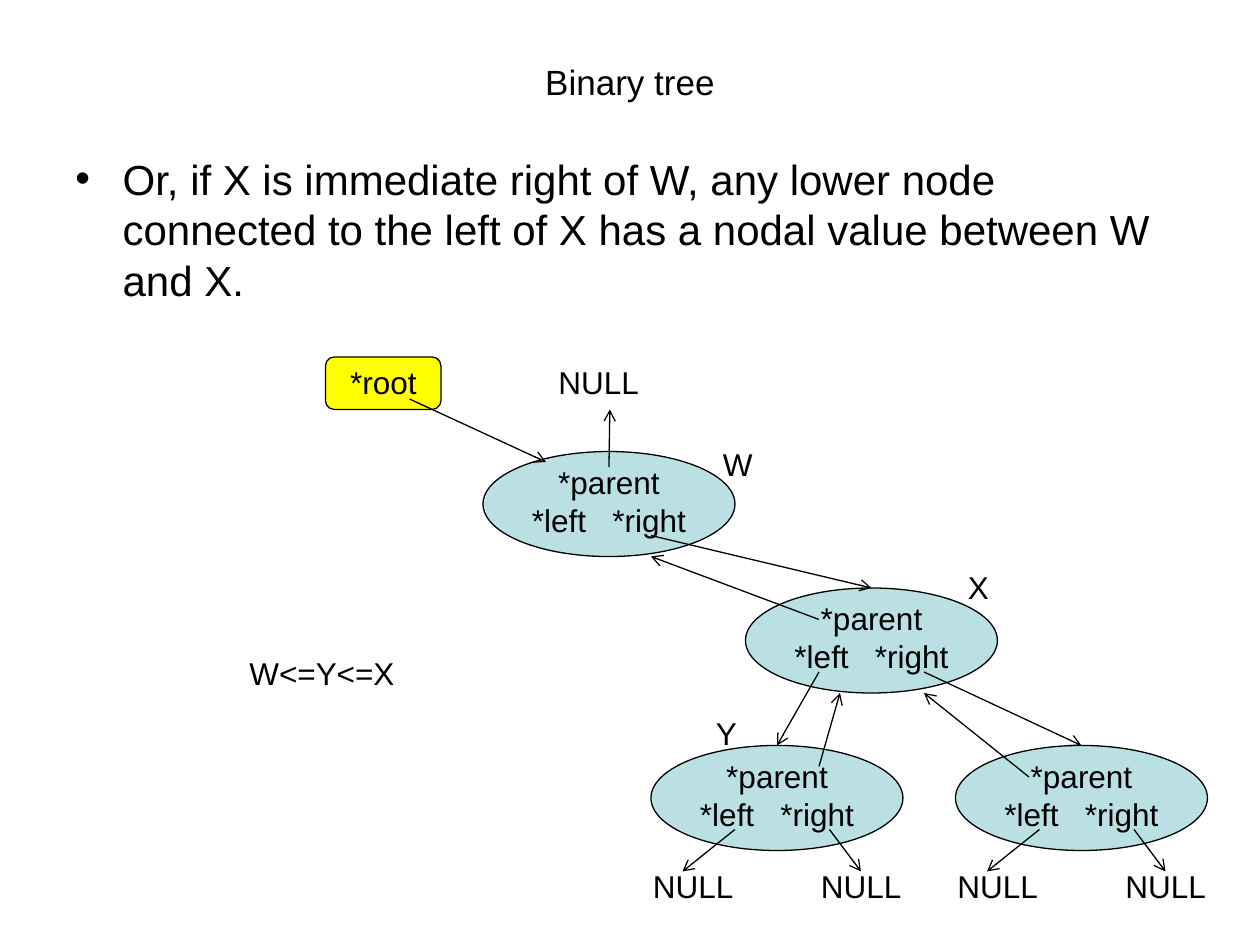
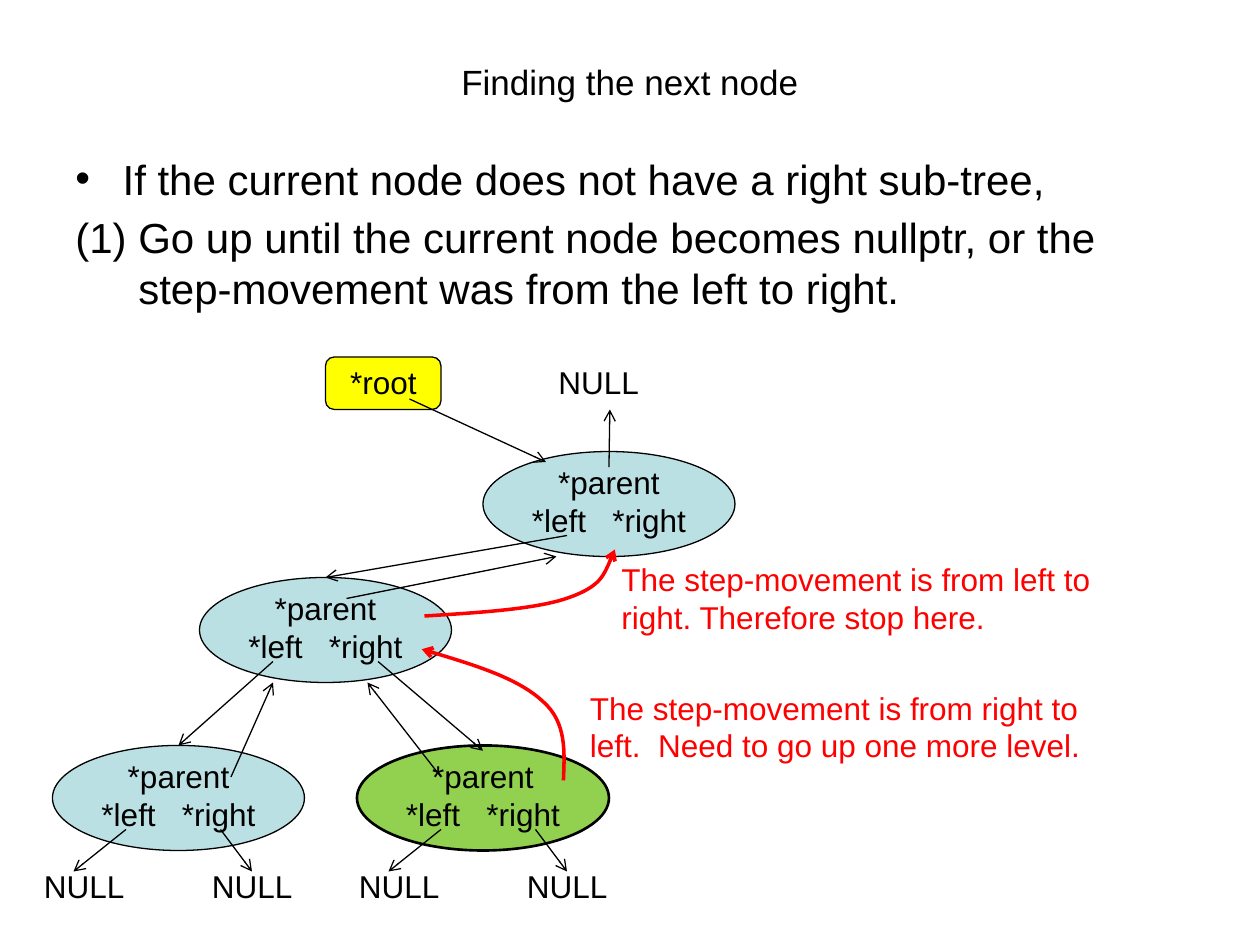
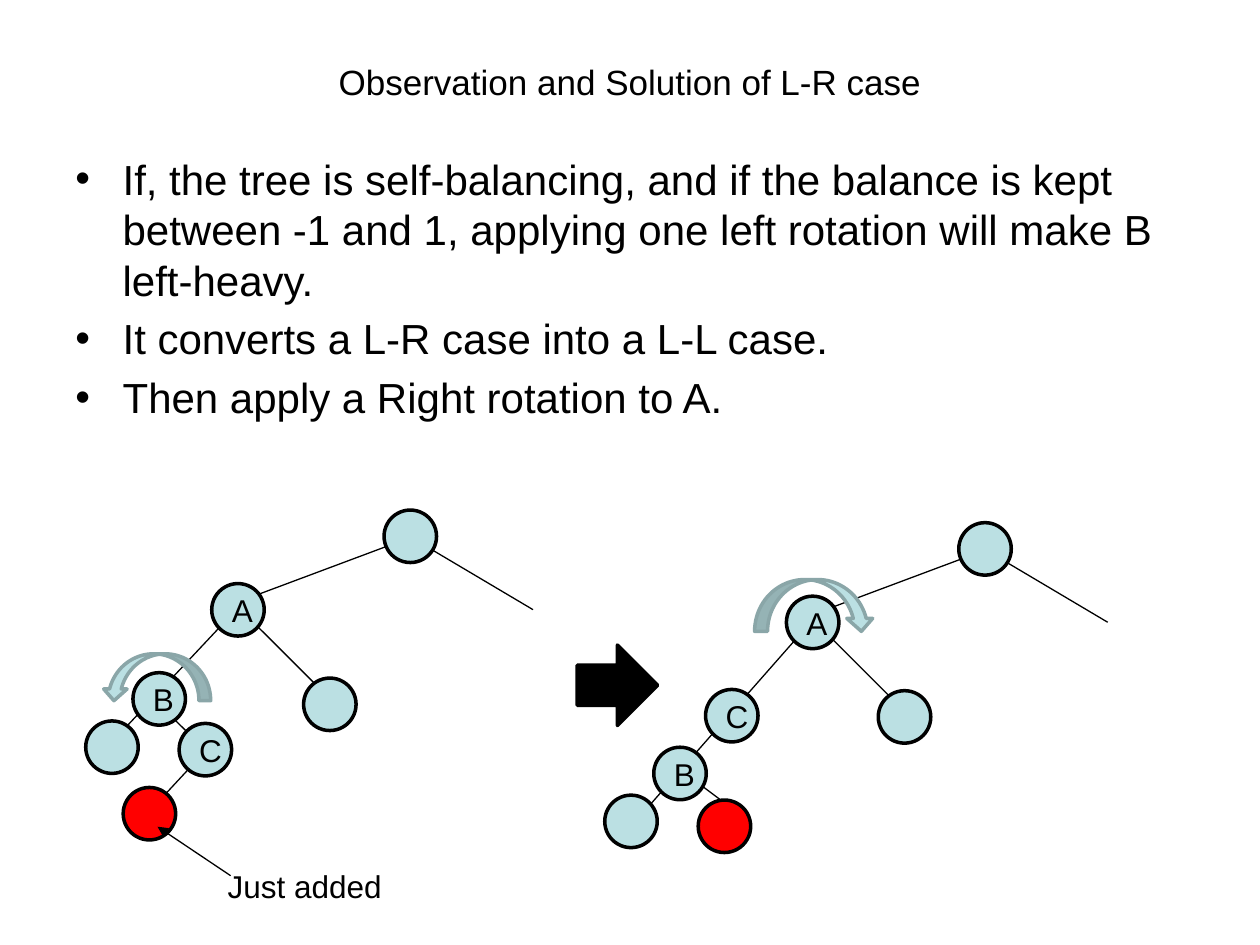
from lxml import etree
from pptx import Presentation
from pptx.dml.color import RGBColor
from pptx.enum import shapes, text
from pptx.oxml.ns import qn
from pptx.util import Pt

COLORS = {
    "ink": "000000",
    "node": "BBE0E3",
    "current": "92D050",
    "root": "FFFF00",
    "accent": "FF0000",
    "turn": "8AA6A8",
}
FONT = "Arial"
THIN, MEDIUM, THICK = 0.75, 1.5, 2
NODE_WIDTH, NODE_HEIGHT = 144, 60
CIRCLE = 30
ROOT_NODE = (276, 258)
BULLET = ("a:buChar", "char", "•", 27)
NUMBER = ("a:buAutoNum", "type", "arabicParenBoth", 36)


# Formatting
def color(name):
    return RGBColor.from_string(COLORS[name])


def style_text(text_frame, size, ink="ink", align=None):
    for paragraph in text_frame.paragraphs:
        if align is not None:
            paragraph.alignment = align
        for run in paragraph.runs:
            run.font.name = FONT
            run.font.size = Pt(size)
            run.font.color.rgb = color(ink)


def style_line(shape, width, ink="ink", arrowhead=None):
    shape.line.color.rgb = color(ink)
    shape.line.width = Pt(width)
    if arrowhead:
        line = shape._element.spPr.find(qn("a:ln"))
        etree.SubElement(line, qn("a:tailEnd"), type=arrowhead)


# Slide title and body
def add_titled_slide(presentation, title, items):
    slide = presentation.slides.add_slide(presentation.slide_layouts[5])
    placeholder = slide.shapes.title
    placeholder.left, placeholder.top = Pt(36), Pt(21.6)
    placeholder.width, placeholder.height = Pt(648), Pt(50.4)
    placeholder.text_frame.text = title
    placeholder.text_frame.vertical_anchor = text.MSO_ANCHOR.MIDDLE
    style_text(placeholder.text_frame, 20, align=text.PP_ALIGN.CENTER)

    body = slide.shapes.add_textbox(Pt(36), Pt(84), Pt(648), Pt(398))
    body.text_frame.word_wrap = True
    body.text_frame.text = "\n".join(wording for wording, _ in items)
    for index, paragraph in enumerate(body.text_frame.paragraphs):
        tag, attribute, value, indent = items[index][1]
        properties = paragraph._p.get_or_add_pPr()
        properties.set("marL", str(Pt(indent)))
        properties.set("indent", str(-Pt(indent)))
        etree.SubElement(properties, qn("a:buFont"), typeface=FONT)
        etree.SubElement(properties, qn(tag)).set(attribute, value)
        if index:
            paragraph.space_before = Pt(4.8)
    style_text(body.text_frame, 24)
    return slide


# Drawing elements
def add_label(slide, wording, left, top, width, height=29, ink="ink",
              align=None, wrap=True):
    label = slide.shapes.add_textbox(Pt(left), Pt(top), Pt(width), Pt(height))
    label.text_frame.word_wrap = wrap
    label.text_frame.auto_size = text.MSO_AUTO_SIZE.SHAPE_TO_FIT_TEXT
    label.text_frame.text = wording
    style_text(label.text_frame, 18, ink, align)


def add_shape(slide, kind, left, top, width, height, fill, line_width=THIN,
              ink="ink"):
    shape = slide.shapes.add_shape(kind, Pt(left), Pt(top), Pt(width), Pt(height))
    shape.shadow.inherit = False
    shape.fill.solid()
    shape.fill.fore_color.rgb = color(fill)
    style_line(shape, line_width, ink)
    return shape


def add_line(slide, start, end, arrowhead=None, target=None):
    connector = slide.shapes.add_connector(
        shapes.MSO_CONNECTOR.STRAIGHT, *map(Pt, start + end))
    if target is not None:
        connector.end_connect(target, 0)
    style_line(connector, THIN, arrowhead=arrowhead)
    etree.SubElement(connector._element.spPr, qn("a:effectLst"))


def add_pointers(slide, *pointers):
    for start, end, *target in pointers:
        add_line(slide, start, end, "arrow", *target)


def add_curved_arrow(slide, start, *points):
    """Draw cubic curves; every three points hold two controls and an end."""
    builder = slide.shapes.build_freeform(Pt(start[0]), Pt(start[1]))
    builder.add_line_segments([(Pt(x), Pt(y)) for x, y in points], close=False)
    curve = builder.convert_to_shape()
    outline = curve._element.find(".//" + qn("a:path"))
    segments = outline.findall(qn("a:lnTo"))
    for first in range(0, len(segments), 3):
        bezier = etree.SubElement(outline, qn("a:cubicBezTo"))
        for segment in segments[first:first + 3]:
            bezier.append(segment[0])
            outline.remove(segment)
    curve.shadow.inherit = False
    curve.fill.background()
    style_line(curve, THICK, "accent", "arrow")


# Parts of the pointer diagrams
def add_node(slide, left, top, fill="node", line_width=THIN):
    node = add_shape(slide, shapes.MSO_SHAPE.OVAL, left, top,
                     NODE_WIDTH, NODE_HEIGHT, fill, line_width)
    add_label(slide, "*parent\n*left   *right", left + 12, top + 3, 120, 51,
              align=text.PP_ALIGN.CENTER)
    return node


def add_null(slide, left, top):
    add_label(slide, "NULL", left, top, 72, 30)


def add_null_children(slide, left, top):
    for start, end, label in ((48, 18, -6), (102, 120, 90)):
        add_line(slide, (left + start, top + 48), (left + end, top + 72), "arrow")
        add_null(slide, left + label, top + 66)


def add_root(slide):
    add_node(slide, *ROOT_NODE)
    add_null(slide, 312, 204)
    add_shape(slide, shapes.MSO_SHAPE.ROUNDED_RECTANGLE, 186, 204, 66, 30, "root")
    add_label(slide, "*root", 193, 204, 52.6, wrap=False)
    add_pointers(slide, ((348, 267), (348.5, 234)), ((234, 228), (312, 264)))


# Parts of the rotation diagrams
def add_circle(slide, left, top, letter="", fill="node"):
    circle = add_shape(slide, shapes.MSO_SHAPE.OVAL, left, top,
                       CIRCLE, CIRCLE, fill, THICK)
    if letter:
        circle.text_frame.text = letter
        circle.text_frame.vertical_anchor = text.MSO_ANCHOR.MIDDLE
        style_text(circle.text_frame, 18, align=text.PP_ALIGN.CENTER)


def add_rotation_tree(slide, dx, dy, lower_edges, lower_circles):
    upper_edges = [((136, 344), (236, 306.6)), ((187.2, 398), (139.8, 350.6)),
                   ((236.8, 308.2), (304.6, 348.4))]
    for start, end in upper_edges:
        add_line(slide, (start[0] + dx, start[1] + dy), (end[0] + dx, end[1] + dy))
    for start, end in lower_edges:
        add_line(slide, start, end)
    for left, top, letter in ((219.5, 291.5, ""), (121, 333.5, "A"), (173.5, 387.5, "")):
        add_circle(slide, left + dx, top + dy, letter)
    for circle in lower_circles:
        add_circle(slide, *circle)


# Slides
def build_binary_tree(presentation):
    slide = add_titled_slide(presentation, "Binary tree", [
        ("Or, if X is immediate right of W, any lower node connected to the left "
         "of X has a nodal value between W and X.", BULLET)])
    add_root(slide)
    x_node = add_node(slide, 426, 336)
    leaves = [(372, 426), (546, 426)]
    y_node, right_node = [add_node(slide, *leaf) for leaf in leaves]
    add_pointers(
        slide,
        ((372, 306), (498, 336), x_node),
        ((468, 354), (372, 318)),
        ((468, 384), (444, 426), y_node),
        ((528, 384), (618, 426), right_node),
        ((468, 438), (480, 396)),
        ((588, 444), (528, 396)))
    for leaf in leaves:
        add_null_children(slide, *leaf)
    for name, left, top in (("X", 546, 321), ("Y", 402, 404.5), ("W", 406, 250.5)):
        add_label(slide, name, left, top, 89)
    add_label(slide, "W<=Y<=X", 135.4, 370, 98.6, wrap=False)


def build_next_node(presentation):
    slide = add_titled_slide(presentation, "Finding the next node", [
        ("If the current node does not have a right sub-tree,", BULLET),
        ("Go up until the current node becomes nullptr, or the step-movement "
         "was from the left to right.", NUMBER)])
    add_root(slide)
    parent = add_node(slide, 114, 330)
    left_leaf = add_node(slide, 30, 426)
    add_node(slide, 204, 426, "current", MEDIUM)
    add_pointers(
        slide,
        ((324, 306), (186, 330), parent),
        ((198, 342), (318, 318)),
        ((156, 378), (102, 426), left_leaf),
        ((216, 378), (276, 429)),
        ((132, 444), (156, 390)),
        ((252, 444), (210, 390)))
    for left in (24, 204):
        add_null_children(slide, left, 426)

    # Steps upwards
    add_curved_arrow(slide, (322, 446), (322.6, 430), (324, 413), (310.4, 401),
                     (296.6, 388), (269.4, 379.4), (241, 371))
    add_label(slide, "The step-movement is from right to left.  "
              "Need to go up one more level.", 330, 390, 327, 51, "accent")
    add_curved_arrow(slide, (242.6, 352), (275, 350), (307.4, 348), (325.4, 341.4),
                     (343.4, 335), (347, 324.6), (351.4, 314))
    add_label(slide, "The step-movement is from left to right. "
              "Therefore stop here.", 348, 316.6, 327, 51, "accent")


def build_rotation(presentation):
    slide = add_titled_slide(presentation, "Observation and Solution of L-R case", [
        ("If, the tree is self-balancing, and if the balance is kept between -1 "
         "and 1, applying one left rotation will make B left-heavy.", BULLET),
        ("It converts a L-R case into a L-L case.", BULLET),
        ("Then apply a Right rotation to A.", BULLET)])

    # Before the left rotation
    add_rotation_tree(
        slide, 0, 0,
        [((92, 456.5), (118, 428.5)), ((136.8, 346.4), (61.2, 427)),
         ((90.8, 402.4), (113.8, 425))],
        [(70.4, 450, "", "accent"), (49, 412, ""), (76, 384.4, "B"),
         (102.4, 413.4, "C")])
    turn = add_shape(slide, shapes.MSO_SHAPE.CURVED_UP_ARROW, 58.4, 373.6, 62, 26.8,
                     "node", THICK, "turn")
    turn.rotation = 180
    add_line(slide, (131.8, 500.4), (90, 472.4), "triangle")
    add_label(slide, "Just added", 123, 492, 103.6, wrap=False)

    add_shape(slide, shapes.MSO_SHAPE.RIGHT_ARROW, 329.8, 368.6, 46, 46, "ink", THICK)

    # After the left rotation
    add_rotation_tree(
        slide, 328.4, 7.2,
        [((420.4, 463.6), (393.8, 443.6)), ((465, 353.6), (363.6, 468.8))],
        [(399, 457.2, "", "accent"), (345.6, 454.4, ""), (373.6, 427, "B"),
         (403.2, 394, "C")])
    add_shape(slide, shapes.MSO_SHAPE.CURVED_DOWN_ARROW, 431.2, 331.2, 68.4, 29.6,
              "node", THICK, "turn")


def main():
    presentation = Presentation()
    presentation.slide_width, presentation.slide_height = Pt(720), Pt(540)
    build_binary_tree(presentation)
    build_next_node(presentation)
    build_rotation(presentation)
    presentation.save("out.pptx")


if __name__ == "__main__":
    main()
